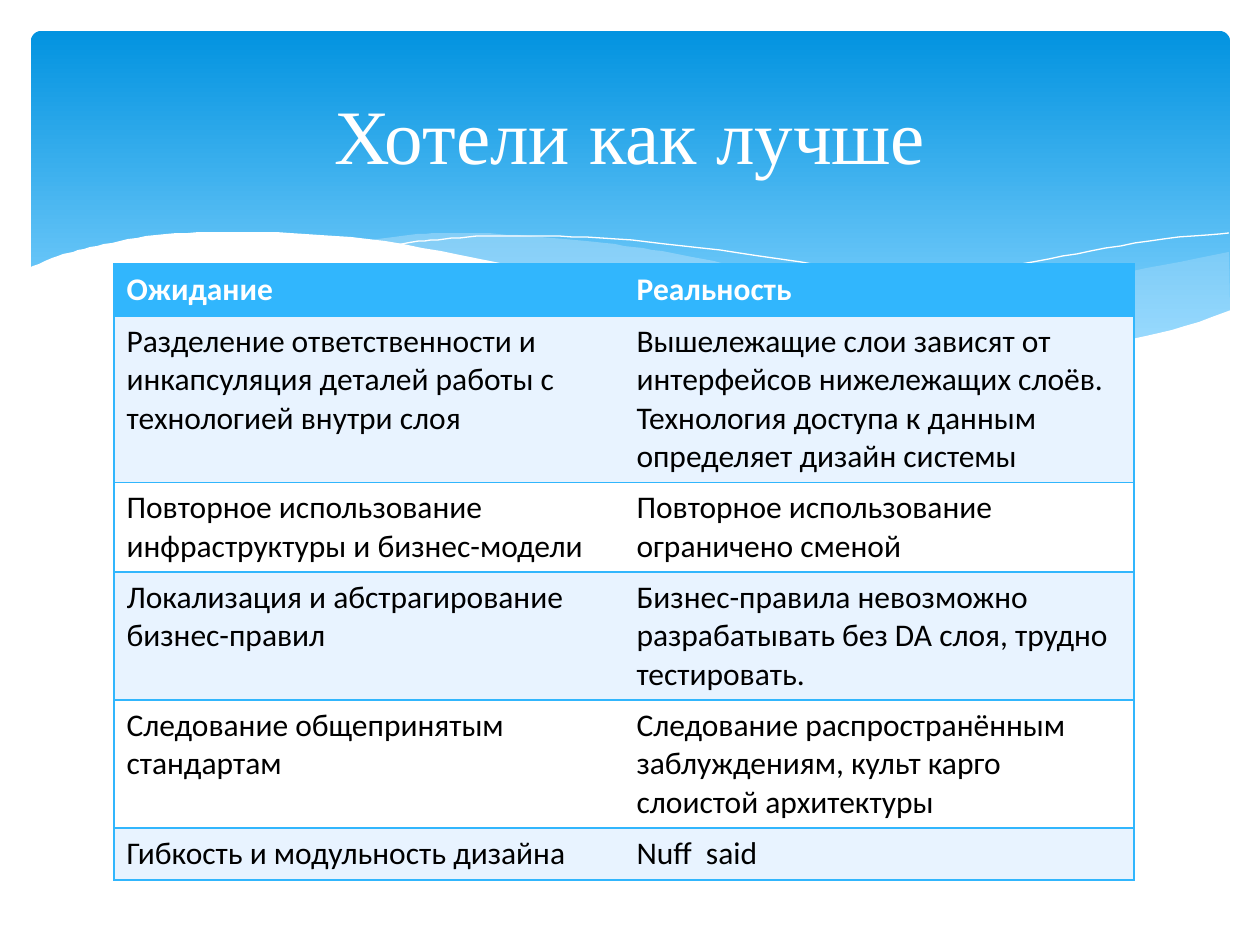
from lxml.etree import SubElement
from pptx import Presentation
from pptx.dml.color import RGBColor
from pptx.enum.shapes import MSO_SHAPE as Shape
from pptx.enum.text import MSO_ANCHOR as Anchor, PP_ALIGN as Align
from pptx.oxml.ns import qn
from pptx.util import Pt

PX = 914400 // 126
ACCENT, BAND, WHITE, BLACK, MIST = "31B6FD", "E8F3FF", "FFFFFF", "000000", "C6E7FC"

TITLE = "Хотели как лучше"
ROWS = [
    ("Ожидание", "Реальность"),
    ("Разделение ответственности и инкапсуляция деталей работы с технологией внутри слоя",
     "Вышележащие слои зависят от интерфейсов нижележащих слоёв. "
     "Технология доступа к данным определяет дизайн системы"),
    ("Повторное использование инфраструктуры и бизнес-модели",
     "Повторное использование ограничено сменой"),
    ("Локализация и абстрагирование бизнес-правил",
     "Бизнес-правила невозможно разрабатывать без DA слоя, трудно тестировать."),
    ("Следование общепринятым стандартам",
     "Следование распространённым заблуждениям, культ карго слоистой архитектуры"),
    ("Гибкость и модульность дизайна", "Nuff  said"),
]
ROW_HEIGHTS = [52, 166, 89, 128, 128, 52]
COLUMN_WIDTH = 510

# Each wave is a list of smooth curves joined end to end.
# (curves, fill, opacity in percent); a wave without fill is a thin white line.
WAVES = [
    ([[(1229, 252), (1085, 281), (981, 305), (833, 334)],
      [(833, 334), (905, 344), (969, 349), (1025, 350), (1088, 347),
       (1140, 339), (1186, 327), (1230, 311)]], MIST, 29),
    ([[(1125, 344), (1055, 334), (977, 320), (890, 302), (793, 280), (736, 266),
       (682, 255), (633, 247), (586, 241), (529, 236), (479, 233), (433, 233),
       (394, 237), (360, 241)],
      [(360, 241), (431, 251), (509, 266), (566, 280), (668, 302), (757, 321),
       (838, 335), (910, 344), (974, 349), (1031, 350), (1080, 349), (1125, 344)]],
     MIST, 40),
    ([[(389, 246), (413, 242), (445, 239), (487, 236), (546, 236), (616, 239),
       (701, 248), (801, 262), (916, 285), (1047, 316), (1143, 343)]], None, 100),
    ([[(772, 324), (823, 310), (907, 289), (1016, 265), (1091, 251),
       (1164, 239), (1229, 233)]], None, 100),
    ([[(1231, 310), (1172, 330), (1103, 343), (1019, 349), (937, 345), (842, 334),
       (760, 320), (667, 301), (563, 277), (460, 255), (368, 239), (290, 233),
       (223, 232), (166, 234), (120, 241), (84, 249), (58, 256), (29, 268)],
      [(29, 415), (1231, 415)]], WHITE, 100),
]


def rgb(value):
    return RGBColor.from_string(value)


def place(*lengths):
    return [length * PX for length in lengths]


def smooth(points, steps=5):
    """Return points along a Catmull-Rom curve through the given points."""
    padded = [points[0], *points, points[-1]]
    curve = [points[0]]
    for a, b, c, d in zip(padded, padded[1:], padded[2:], padded[3:]):
        for step in range(1, steps + 1):
            t = step / steps
            curve.append(tuple(
                (2 * q + (r - p) * t + (2 * p - 5 * q + 4 * r - s) * t ** 2
                 + (3 * q - p - 3 * r + s) * t ** 3) / 2
                for p, q, r, s in zip(a, b, c, d)))
    return curve


def add_span(para, text, font, size, color, bold=False):
    span = para.add_run()
    span.text = text
    span.font.name, span.font.size, span.font.bold = font, Pt(size), bold
    span.font.color.rgb = rgb(color)


def add_banner(page):
    banner = page.shapes.add_shape(Shape.ROUNDED_RECTANGLE, *place(31, 31, 1199, 340))
    banner.shadow.inherit = False
    banner.adjustments[0] = 0.03
    banner.line.fill.background()
    banner.fill.gradient()
    banner.fill.gradient_angle = 270
    stops = [(0, "0293E0"), (0.9, "83D3FE")]
    for stop, (position, color) in zip(banner.fill.gradient_stops, stops):
        stop.position, stop.color.rgb = position, rgb(color)


def add_wave(page, curves, fill, opacity):
    points = [point for curve in curves for point in smooth(curve)]
    builder = page.shapes.build_freeform(*points[0], scale=PX)
    builder.add_line_segments(points[1:], close=fill is not None)
    wave = builder.convert_to_shape()
    wave.shadow.inherit = False
    if fill is None:
        wave.fill.background()
        wave.line.color.rgb = rgb(WHITE)
        wave.line.width = 0
        return
    wave.line.fill.background()
    wave.fill.solid()
    wave.fill.fore_color.rgb = rgb(fill)
    if opacity < 100:
        color = wave.fill._xPr.find(qn("a:solidFill"))[0]
        SubElement(color, qn("a:alpha"), val=str(opacity * 1000))


def add_borders(cell, outer_side):
    """Rule the top, the bottom and the outer side of a cell."""
    properties = cell._tc.get_or_add_tcPr()
    for side in "LRTB":
        line = SubElement(properties, qn("a:ln" + side), w=str(Pt(1)))
        if side in ("T", "B", outer_side):
            paint = SubElement(line, qn("a:solidFill"))
            SubElement(paint, qn("a:srgbClr"), val=ACCENT)
        else:
            SubElement(line, qn("a:noFill"))


def add_comparison(page):
    frame = page.shapes.add_table(
        len(ROWS), 2, *place(114, 264, 2 * COLUMN_WIDTH, sum(ROW_HEIGHTS)))
    table = frame.table
    for column in table.columns:
        column.width = COLUMN_WIDTH * PX
    for r, (texts, height) in enumerate(zip(ROWS, ROW_HEIGHTS)):
        table.rows[r].height = height * PX
        header = r == 0
        fill = ACCENT if header else BAND if r % 2 else WHITE
        for c, text in enumerate(texts):
            cell = table.cell(r, c)
            add_borders(cell, "LR"[c])
            cell.fill.solid()
            cell.fill.fore_color.rgb = rgb(fill)
            add_span(cell.text_frame.paragraphs[0], text, "Calibri", 18,
                     WHITE if header else BLACK, header)


def add_title(page):
    title = page.shapes.title
    title.left, title.top, title.width, title.height = place(63, 47, 1134, 173)
    title.text_frame.vertical_anchor = Anchor.MIDDLE
    para = title.text_frame.paragraphs[0]
    para.alignment = Align.CENTER
    add_span(para, TITLE, "Times New Roman", 44, WHITE)
    page.shapes._spTree.append(title._element)


def main():
    deck = Presentation()
    deck.slide_width, deck.slide_height = place(1260, 945)
    page = deck.slides.add_slide(deck.slide_layouts[5])
    add_banner(page)
    for wave in WAVES:
        add_wave(page, *wave)
    add_comparison(page)
    add_title(page)
    deck.save("out.pptx")


if __name__ == "__main__":
    main()
